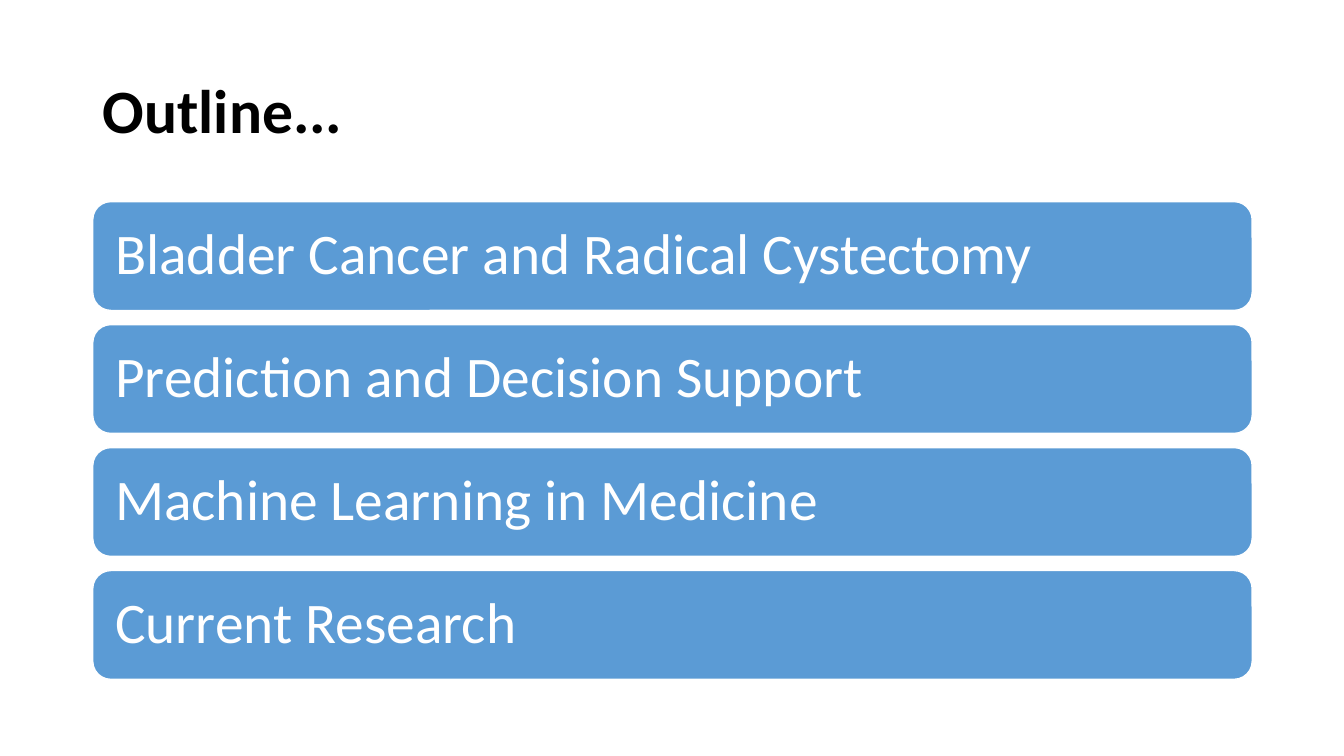
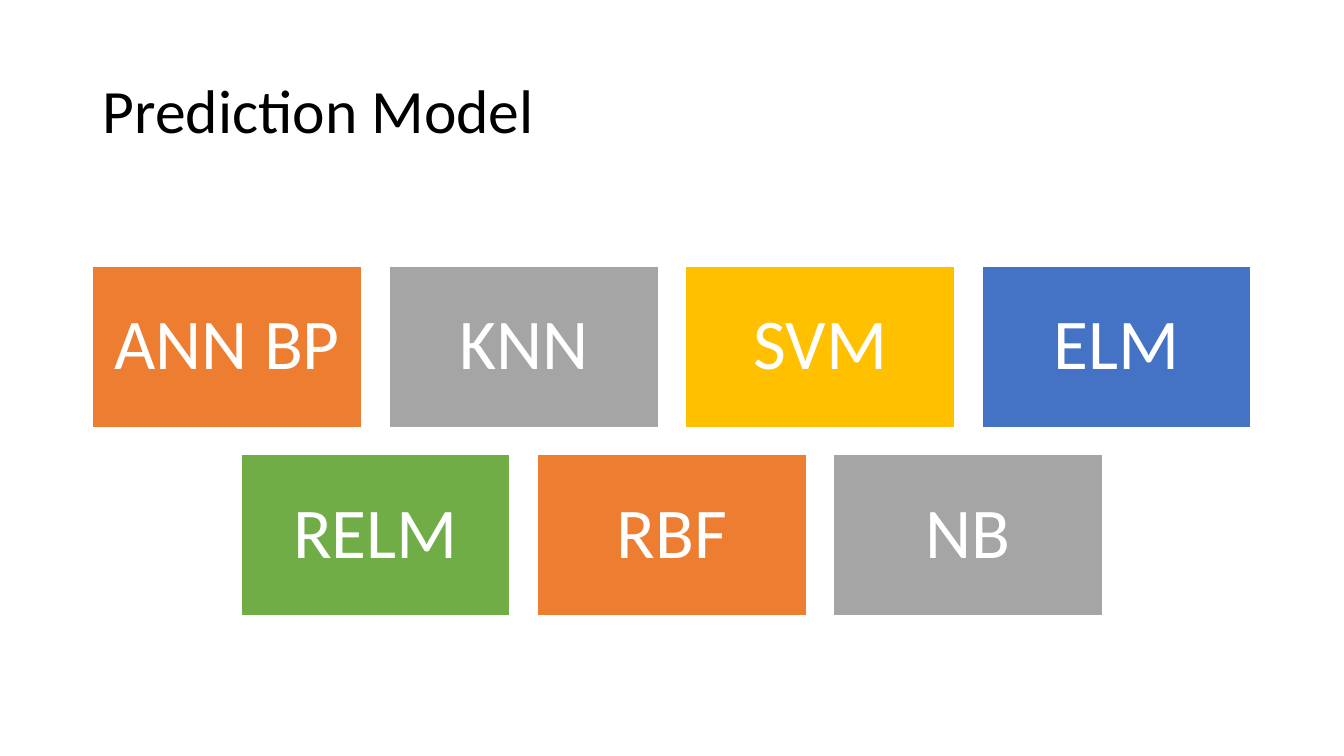
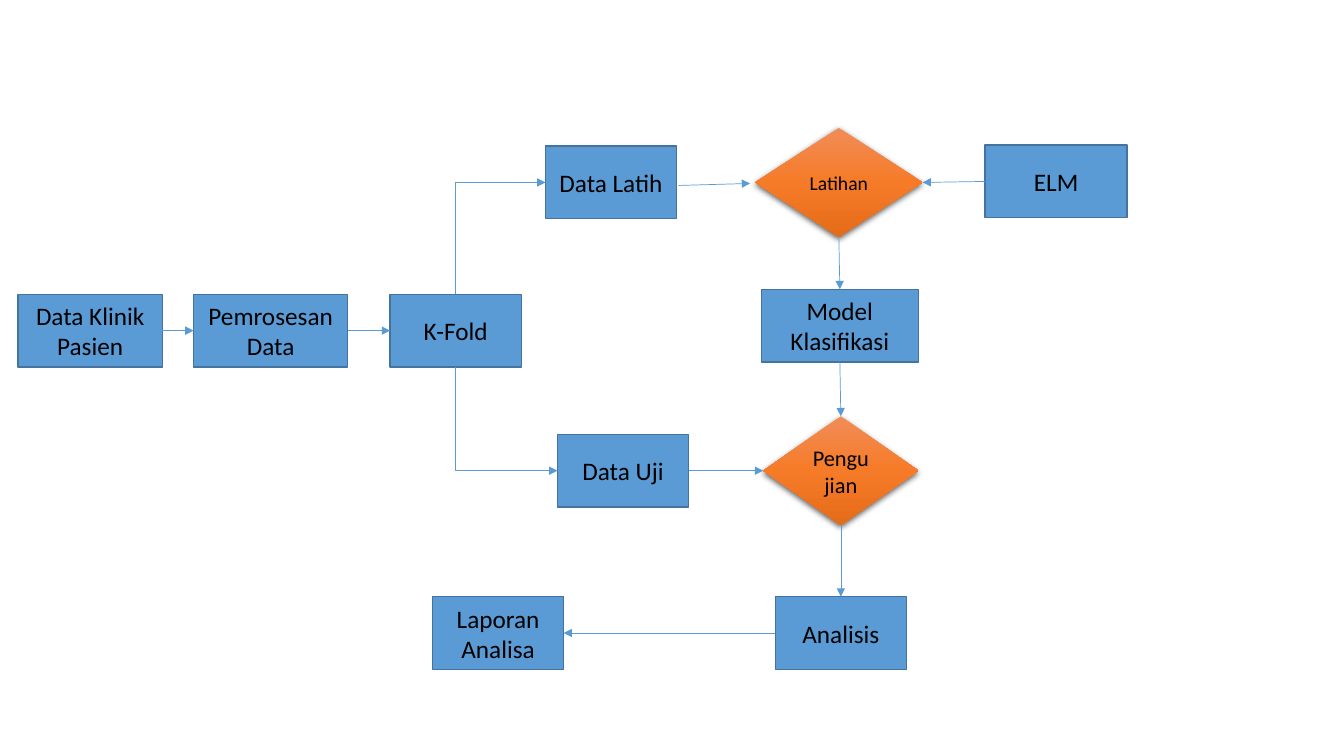
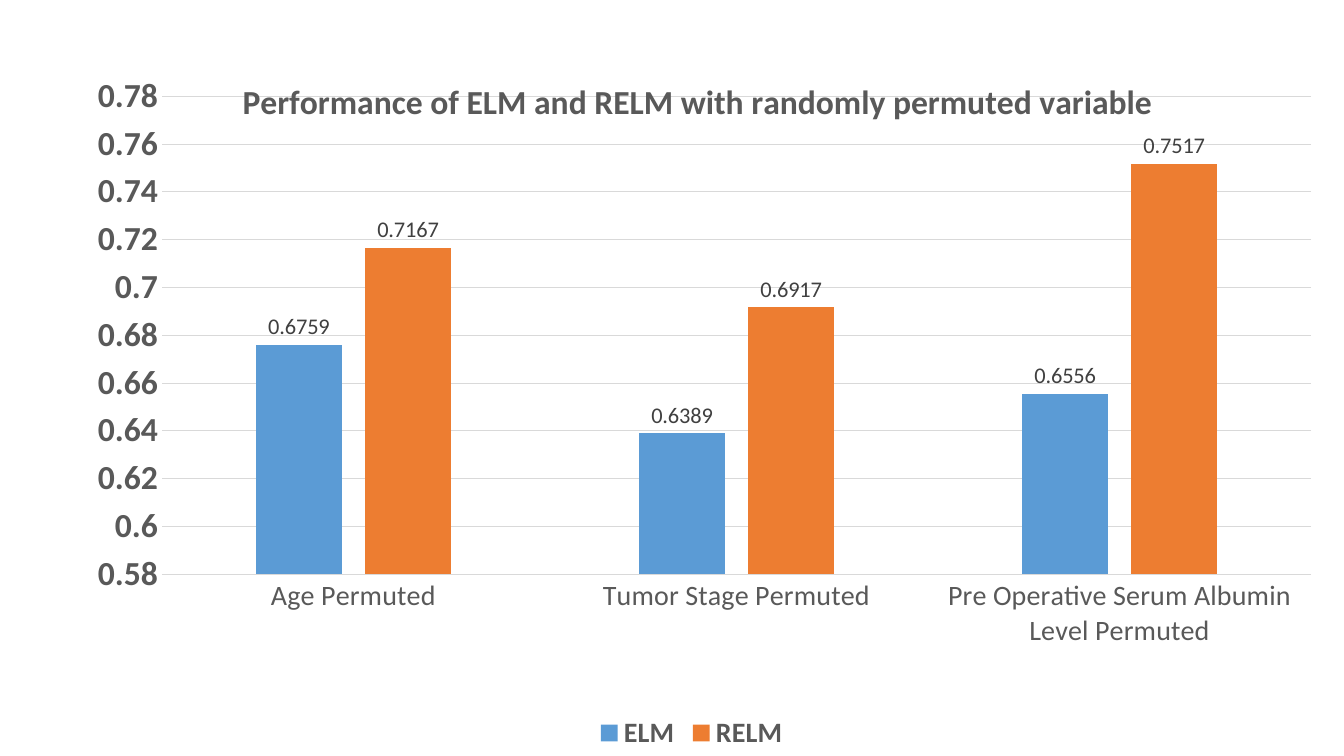
from lxml.etree import SubElement
from pptx import Presentation
from pptx.chart.data import CategoryChartData as ChartData
from pptx.dml.color import RGBColor
from pptx.enum.chart import XL_CHART_TYPE as CHART, XL_LABEL_POSITION as SPOT
from pptx.enum.chart import XL_LEGEND_POSITION as SIDE, XL_TICK_MARK as TICK
from pptx.enum.shapes import MSO_CONNECTOR as LINK, MSO_SHAPE as SHAPE
from pptx.enum.text import MSO_ANCHOR as ANCHOR, PP_ALIGN as ALIGN
from pptx.oxml.ns import qn
from pptx.util import Inches, Pt

INK = {
    "black": "000000", "white": "FFFFFF", "blue": "5B9BD5", "edge": "43739E",
    "orange": "ED7D31", "gray": "A5A5A5", "gold": "FFC000", "navy": "4472C4",
    "green": "70AD47", "text": "595959", "label": "404040", "grid": "D9D9D9",
    "light": "F18C57", "mid": "F67B28", "deep": "E56C19",
}
FONT = "Calibri"
TITLE_ONLY, BLANK = 5, 6
LEFT, WIDE = 0.92, 11.5
TOP, BOTTOM, WEST, EAST = 0, 2, 1, 3
GLOW = {"blurRad": "57150", "dist": "19050", "dir": "5400000", "algn": "ctr", "rotWithShape": "0"}


def tint(name):
    """Return the named colour."""
    return RGBColor.from_string(INK[name])


def put(item, **vals):
    """Set each given value on the item."""
    for key, val in vals.items():
        setattr(item, key, val)


def style(font, size, ink, bold=False):
    """Format a font."""
    put(font, name=FONT, size=Pt(size), bold=bold)
    font.color.rgb = tint(ink)


def write(shape, text, size, ink, align=ALIGN.CENTER, space=None, pad=0.1):
    """Put one formatted paragraph in a shape."""
    frame, gap = shape.text_frame, Inches(pad)
    put(frame, text=text, word_wrap=True, vertical_anchor=ANCHOR.MIDDLE, margin_left=gap, margin_right=gap)
    para = frame.paragraphs[0]
    put(para, alignment=align, line_spacing=space)
    style(para.font, size, ink)
    return para


def page(deck, title=None, bold=False):
    """Add a slide, with a title where one is given."""
    slide = deck.slides.add_slide(deck.slide_layouts[TITLE_ONLY if title else BLANK])
    if title:
        head = slide.shapes.title
        put(head, left=Inches(LEFT), top=Inches(0.4), width=Inches(WIDE), height=Inches(1.45))
        write(head, title, 44, "black", ALIGN.LEFT, 0.9).font.bold = bold
    return slide


def box(slide, kind, area, fill, line):
    """Add a flat shape with a thin outline."""
    shape = slide.shapes.add_shape(kind, *map(Inches, area))
    shape.shadow.inherit = False
    shape.fill.solid()
    shape.fill.fore_color.rgb = tint(fill)
    shape.line.color.rgb = tint(line)
    shape.line.width = Pt(1)
    return shape


def node(slide, x, y, wide, text):
    """Add a process step of the flow."""
    shape = box(slide, SHAPE.RECTANGLE, (x, y, wide, 0.72), "blue", "edge")
    write(shape, text, 18, "black")
    return shape


def gem(slide, x, y, wide, text, size):
    """Add a shaded decision step of the flow."""
    shape = box(slide, SHAPE.FLOWCHART_DECISION, (x, y, wide, 1.08), "mid", "mid")
    shape.line.fill.background()
    shape.fill.gradient()
    shape.fill.gradient_angle = 270
    props = shape.fill._xPr
    stops = props.find(".//" + qn("a:gsLst"))
    stops.clear()
    for pos, ink in ((0, "light"), (50, "mid"), (100, "deep")):
        stop = SubElement(stops, qn("a:gs"), pos=str(pos * 1000))
        SubElement(stop, qn("a:srgbClr"), val=INK[ink])
    glow = SubElement(props.find(qn("a:effectLst")), qn("a:outerShdw"), GLOW)
    shade = SubElement(glow, qn("a:srgbClr"), val=INK["black"])
    SubElement(shade, qn("a:alpha"), val="63000")
    write(shape, text, size, "black")
    return shape


def wire(slide, kind=LINK.STRAIGHT, ends=(0, 0, 0, 0), tip="a:tailEnd"):
    """Add a thin connector with one arrowhead."""
    line = slide.shapes.add_connector(kind, *map(Inches, ends))
    line.line.color.rgb = tint("blue")
    line.line.width = Pt(0.5)
    SubElement(line.line._get_or_add_ln(), qn(tip), type="triangle")
    SubElement(line._element.spPr, qn("a:effectLst"))
    return line


def join(line, start, out, stop, into):
    """Fix both ends of a connector to shapes."""
    line.begin_connect(start, out)
    line.end_connect(stop, into)


def bend(slide, start, out, stop):
    """Lead an arrow round one corner into the left side of a step."""
    line = wire(slide, LINK.ELBOW, tip="a:headEnd")
    line._element.spPr.find(qn("a:prstGeom")).set("prst", "bentConnector2")
    join(line, stop, WEST, start, out)


def fix(part, index, **vals):
    """Give a chart part a manual layout."""
    for old in part.findall(qn("c:layout")):
        part.remove(old)
    outer = part.makeelement(qn("c:layout"))
    part.insert(index, outer)
    inner = SubElement(outer, qn("c:manualLayout"))
    for key, val in vals.items():
        SubElement(inner, qn("c:" + key), val=str(val))


def outline(deck):
    """Build the outline slide."""
    slide = page(deck, "Outline...", True)
    topics = ("Bladder Cancer and Radical Cystectomy", "Prediction and Decision Support",
              "Machine Learning in Medicine", "Current Research")
    for row, text in enumerate(topics):
        bar = box(slide, SHAPE.ROUNDED_RECTANGLE, (LEFT, 2 + row * 1.22, WIDE, 1.08), "blue", "white")
        write(bar, text, 41, "white", ALIGN.LEFT, 0.9, 0.17)


def models(deck):
    """Build the slide of prediction models."""
    slide = page(deck, "Prediction Model")
    rows = (
        (("ANN BP", "orange"), ("KNN", "gray"), ("SVM", "gold"), ("ELM", "navy")),
        (("RELM", "green"), ("RBF", "orange"), ("NB", "gray")),
    )
    wide, high, gap = 2.67, 1.6, 0.27
    step = wide + gap
    for row, tiles in enumerate(rows):
        left = LEFT + row * step / 2
        for col, (text, ink) in enumerate(tiles):
            area = (left + col * step, 2.64 + row * (high + gap), wide, high)
            tile = box(slide, SHAPE.RECTANGLE, area, ink, "white")
            write(tile, text, 51, "white", space=0.9)


def flow(deck):
    """Build the flow of the research."""
    slide = page(deck)
    data = node(slide, 0.18, 2.92, 1.43, "Data Klinik Pasien")
    prep = node(slide, 1.92, 2.92, 1.53, "Pemrosesan Data")
    fold = node(slide, 3.87, 2.92, 1.3, "K-Fold")
    learn = node(slide, 5.41, 1.45, 1.3, "Data Latih")
    check = node(slide, 5.53, 4.31, 1.3, "Data Uji")
    elm = node(slide, 9.77, 1.44, 1.41, "ELM")
    model = node(slide, 7.55, 2.87, 1.56, "Model Klasifikasi")
    review = node(slide, 7.69, 5.92, 1.3, "Analisis")
    report = node(slide, 4.29, 5.92, 1.3, "Laporan Analisa")
    train = gem(slide, 7.49, 1.27, 1.66, "Latihan", 14)
    test = gem(slide, 7.57, 4.13, 1.54, "Pengujian", 16)
    links = (
        (data, EAST, prep, WEST), (prep, EAST, fold, WEST), (elm, WEST, train, EAST),
        (train, BOTTOM, model, TOP), (model, BOTTOM, test, TOP), (check, EAST, test, WEST),
        (test, BOTTOM, review, TOP), (review, WEST, report, EAST),
    )
    for link in links:
        join(wire(slide), *link)
    wire(slide, ends=(6.73, 1.84, 7.44, 1.82))
    bend(slide, fold, TOP, learn)
    bend(slide, fold, BOTTOM, check)


def results(deck):
    """Build the column chart of both models."""
    slide = page(deck)
    data = ChartData(number_format="General")
    data.categories = ("Age Permuted", "Tumor Stage Permuted", "Pre Operative Serum Albumin Level Permuted")
    data.add_series("ELM", (0.6759, 0.6389, 0.6556))
    data.add_series("RELM", (0.7167, 0.6917, 0.7517))
    area = map(Inches, (0.59, 0.51, 12.54, 6.99))
    chart = slide.shapes.add_chart(CHART.COLUMN_CLUSTERED, *area, data).chart
    style(chart.font, 10, "black")
    put(chart, has_title=True, has_legend=True)

    title = chart.chart_title
    title.text_frame.text = "Performance of ELM and RELM with randomly permuted variable"
    style(title.text_frame.paragraphs[0].runs[0].font, 24, "text", True)
    fix(title._element, 1, xMode="edge", yMode="edge", x=0.14, y=0.03)
    fix(chart._chartSpace.chart.plotArea, 0, layoutTarget="inner", xMode="edge", yMode="edge",
        x=0.081, y=0.064, w=0.909, h=0.678)

    put(chart.legend, position=SIDE.BOTTOM, include_in_layout=False)
    style(chart.legend.font, 20, "text", True)
    across, up = chart.category_axis, chart.value_axis
    for axis, size, bold in ((across, 20, False), (up, 24, True)):
        put(axis, major_tick_mark=TICK.NONE, minor_tick_mark=TICK.NONE)
        style(axis.tick_labels.font, size, "text", bold)
    put(up, minimum_scale=0.58, maximum_scale=0.78, major_unit=0.02, has_major_gridlines=True)
    up.format.line.fill.background()
    for part in (across, up.major_gridlines):
        part.format.line.color.rgb = tint("grid")
        part.format.line.width = Pt(0.75)

    plot = chart.plots[0]
    put(plot, gap_width=219, overlap=-27, vary_by_categories=False)
    for series, ink in zip(plot.series, ("blue", "orange")):
        series.format.fill.solid()
        series.format.fill.fore_color.rgb = tint(ink)
        put(series.data_labels, show_value=True, position=SPOT.OUTSIDE_END)
        style(series.data_labels.font, 16, "label")


def main():
    """Build and save the slides."""
    deck = Presentation()
    put(deck, slide_width=Inches(13.33), slide_height=Inches(7.5))
    for build in (outline, models, flow, results):
        build(deck)
    deck.save("out.pptx")


if __name__ == "__main__":
    main()
